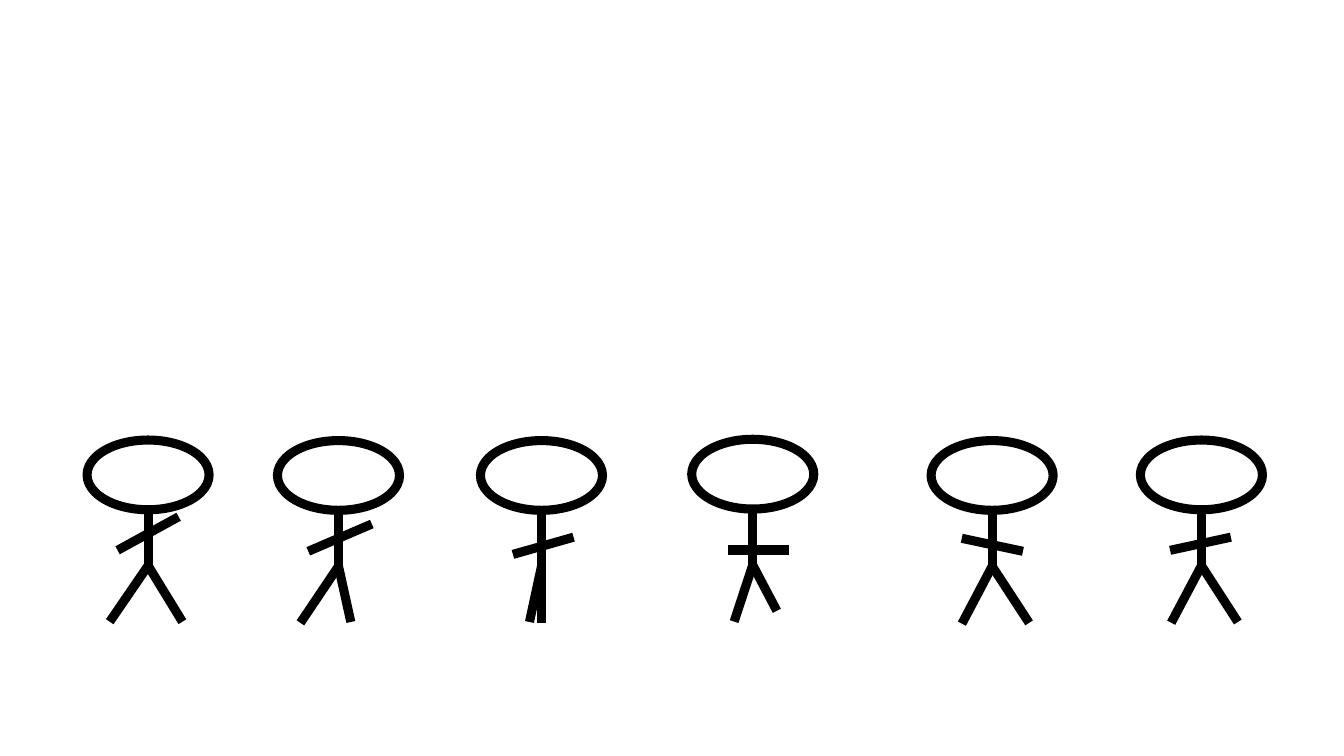
from dataclasses import dataclass

from lxml.etree import SubElement
from pptx import Presentation
from pptx.dml.color import RGBColor
from pptx.dml.line import LineFormat
from pptx.enum.shapes import MSO_CONNECTOR as Conn, MSO_SHAPE as Kind
from pptx.oxml.ns import qn
from pptx.shapes.shapetree import SlideShapes as Shapes
from pptx.util import Pt

BLACK = RGBColor(0, 0, 0)
STROKE = 6.5
HEAD_W, HEAD_H = 87.2, 49.8
TORSO = 40

Point = tuple[float, float]


@dataclass(frozen=True)
class Walker:
    """A stick figure: its neck on the slide, hands and feet measured from the neck."""

    neck: Point
    hands: tuple[Point, Point]
    feet: tuple[Point, Point]


WALKERS = (
    Walker((105.8, 364.1), ((-21.8, 29), (21.8, 5)), ((24.5, 80), (-27.4, 80))),
    Walker((241.8, 364.5), ((-21.6, 29.3), (23.8, 9.8)), ((8.8, 79.8), (-27.2, 80.4))),
    Walker((386.8, 364.5), ((-20.4, 31.5), (22.9, 19.2)), ((0, 80.5), (-8.6, 79.8))),
    Walker((537.7, 363.6), ((-17.7, 29.3), (26, 29.3)), ((-13.3, 80.4), (17.2, 72.7))),
    Walker((708.7, 364.5), ((-21.7, 20), (22, 29.3)), ((-21.6, 81), (26.4, 80.4))),
    Walker((858.2, 364.1), ((-22.4, 29), (21, 19.6)), ((-21.6, 80.7), (26, 80.2))),
)


def ink(line: LineFormat) -> None:
    """Give a line the common thick black stroke."""
    line.color.rgb = BLACK
    line.width = Pt(STROKE)


def draw_limb(shapes: Shapes, neck: Point, start: Point, end: Point) -> None:
    """Draw a straight limb between two points measured from the neck."""
    x, y = neck
    limb = shapes.add_connector(
        Conn.STRAIGHT,
        Pt(x + start[0]), Pt(y + start[1]),
        Pt(x + end[0]), Pt(y + end[1]),
    )
    ink(limb.line)
    SubElement(limb.element.spPr, qn("a:effectLst"))


def draw_head(shapes: Shapes, neck: Point) -> None:
    """Draw the hollow head resting on the neck."""
    x, y = neck
    head = shapes.add_shape(
        Kind.OVAL, Pt(x - HEAD_W / 2), Pt(y - HEAD_H), Pt(HEAD_W), Pt(HEAD_H)
    )
    head.shadow.inherit = False
    head.fill.background()
    ink(head.line)


def draw_walker(shapes: Shapes, walker: Walker) -> None:
    """Draw the head, torso, legs and arms of one figure."""
    hip = (0, TORSO)
    draw_head(shapes, walker.neck)
    draw_limb(shapes, walker.neck, (0, 0), hip)
    for foot in walker.feet:
        draw_limb(shapes, walker.neck, foot, hip)
    draw_limb(shapes, walker.neck, *walker.hands)


def main() -> None:
    """Build the row of walkers and save the deck."""
    deck = Presentation()
    deck.slide_width, deck.slide_height = Pt(960), Pt(540)
    slide = deck.slides.add_slide(deck.slide_layouts[6])
    for walker in WALKERS:
        draw_walker(slide.shapes, walker)
    deck.save("out.pptx")


main()
